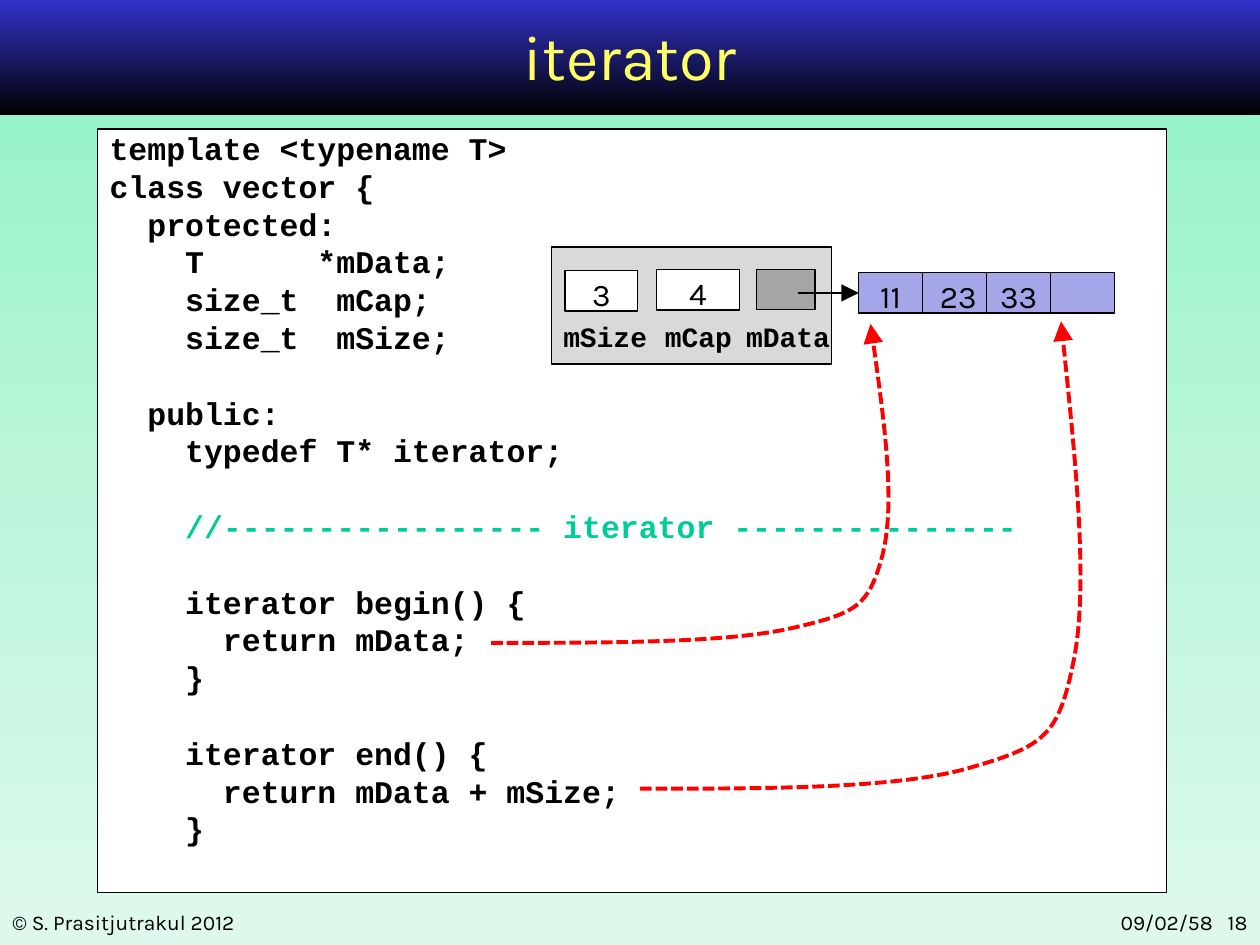
from copy import deepcopy
from dataclasses import dataclass

from pptx import Presentation
from pptx.dml.color import RGBColor
from pptx.enum.dml import MSO_LINE
from pptx.enum.shapes import MSO_CONNECTOR, MSO_SHAPE
from pptx.enum.text import MSO_ANCHOR, PP_ALIGN
from pptx.oxml.ns import qn
from pptx.util import Cm, Pt
from lxml.etree import SubElement

COLORS = {
    "black": "000000", "white": "FFFFFF", "title": "FFFF66", "banner": "3333CC",
    "panel": "D9D9D9", "pointer": "A6A6A6", "cell": "A5A5E9",
    "comment": "00CC99", "arrow": "FF0000",
    "mint": "8CF2C6", "mint_mid": "BAF5DA", "mint_pale": "DEF9EC",
}
MONO, SANS = "Courier New", "Karla"
LINE_PITCH = Pt(21.6)
INDENT = Pt(21.6)
CELL_LEFT, CELL_TOP, CELL_W, CELL_H = 17.31, 5.5, 1.29, 0.81


@dataclass
class Box:
    x: float
    y: float
    w: float
    h: float
    text: str = ""
    fill: str = "white"


@dataclass
class CodeLine:
    level: int
    text: str
    gap: bool = False
    color: str = "black"


@dataclass
class Curve:
    start: tuple
    controls: list


CODE = [
    CodeLine(0, "template <typename T>"),
    CodeLine(0, "class vector {"),
    CodeLine(1, "protected:"),
    CodeLine(2, "T      *mData;"),
    CodeLine(2, "size_t  mCap;"),
    CodeLine(2, "size_t  mSize;"),
    CodeLine(1, "public:", gap=True),
    CodeLine(2, "typedef T* iterator;"),
    CodeLine(2, "//----------------- iterator ---------------", True, "comment"),
    CodeLine(2, "iterator begin() {", gap=True),
    CodeLine(3, "return mData;"),
    CodeLine(2, "}"),
    CodeLine(2, "iterator end() {", gap=True),
    CodeLine(3, "return mData + mSize;"),
    CodeLine(2, "}"),
]
FIELDS = [
    Box(11.12, 4.98, 5.64, 2.36, fill="panel"),
    Box(15.25, 5.43, 1.18, 0.81, fill="pointer"),
    Box(11.39, 5.46, 1.47, 0.81, "3"),
    Box(13.23, 5.44, 1.68, 0.81, "4"),
]
LABELS = [
    Box(11.11, 6.31, 2.18, 0.84, "mSize"),
    Box(13.19, 6.31, 1.78, 0.84, "mCap"),
    Box(14.78, 6.31, 2.21, 0.84, "mData"),
]
CURVES = [
    Curve((9.9, 12.96), [
        (12.27, 12.96), (14.63, 12.96), (15.93, 12.67),
        (17.25, 12.37), (17.5, 12.24), (17.78, 11.23),
        (18.06, 10.19), (17.81, 8.36), (17.55, 6.53),
    ]),
    Curve((12.9, 15.9), [
        (15.52, 15.9), (18.14, 15.9), (19.58, 15.47),
        (21.06, 15.04), (21.34, 14.83), (21.64, 13.34),
        (21.95, 11.84), (21.67, 9.14), (21.39, 6.48),
    ]),
]


def rgb(name: str) -> RGBColor:
    return RGBColor.from_string(COLORS[name])


def set_gradient(fill, element, names: list) -> None:
    fill.gradient()
    fill.gradient_angle = 270
    stops = next(element.iter(qn("a:gsLst")))
    for _ in names[2:]:
        stops.append(deepcopy(stops[0]))
    for i, (stop, name) in enumerate(zip(fill.gradient_stops, names)):
        stop.color.rgb = rgb(name)
        stop.position = i / (len(names) - 1)


def style_font(p, font: str, size: float, color: str = "black", bold: bool = False) -> None:
    for r in p.runs:
        r.font.name, r.font.size, r.font.bold = font, Pt(size), bold
        r.font.color.rgb = rgb(color)


def add_rect(s, box: Box):
    sp = s.shapes.add_shape(MSO_SHAPE.RECTANGLE, Cm(box.x), Cm(box.y), Cm(box.w), Cm(box.h))
    sp.shadow.inherit = False
    sp.fill.solid()
    sp.fill.fore_color.rgb = rgb(box.fill)
    sp.line.color.rgb = rgb("black")
    sp.line.width = Pt(0.75)
    return sp


def add_textbox(s, box: Box):
    sp = s.shapes.add_textbox(Cm(box.x), Cm(box.y), Cm(box.w), Cm(box.h))
    sp.text_frame.word_wrap = True
    return sp


def add_caption(s, box: Box, size: float, align, color: str = "black") -> None:
    tf = add_textbox(s, box).text_frame
    tf.text = box.text
    tf.vertical_anchor = MSO_ANCHOR.MIDDLE
    tf.paragraphs[0].alignment = align
    style_font(tf.paragraphs[0], SANS, size, color)


def set_diagram_text(sp, text: str, font: str, size: float, bold: bool = False) -> None:
    tf = sp.text_frame
    tf.margin_left = tf.margin_right = tf.margin_top = tf.margin_bottom = 0
    tf.vertical_anchor = MSO_ANCHOR.MIDDLE
    tf.text = text
    p = tf.paragraphs[0]
    p.alignment = PP_ALIGN.CENTER
    p.line_spacing = 1.15
    p.space_after = Pt(10)
    style_font(p, font, size, bold=bold)


def add_field(s, box: Box):
    sp = add_rect(s, box)
    if box.text:
        set_diagram_text(sp, box.text, SANS, 18)
    return sp


def add_code(s, box: Box, lines: list) -> None:
    tf = add_rect(s, box).text_frame
    tf.word_wrap = True
    tf.vertical_anchor = MSO_ANCHOR.TOP
    tf.margin_top = tf.margin_bottom = 0
    tf.text = "\n".join(line.text for line in lines)
    for p, line in zip(tf.paragraphs, lines):
        p.alignment = PP_ALIGN.LEFT
        p.line_spacing = LINE_PITCH
        p.space_before = LINE_PITCH if line.gap else Pt(0)
        p._p.get_or_add_pPr().set("marL", str(line.level * INDENT))
        style_font(p, MONO, 18, line.color, True)


def add_arrowhead(sp) -> None:
    SubElement(sp.line._get_or_add_ln(), qn("a:tailEnd"), type="triangle", w="lg", len="lg")


def bend_segments(sp) -> None:
    outline = next(sp.element.iter(qn("a:path")))
    segments = outline.findall(qn("a:lnTo"))
    for i in range(0, len(segments), 3):
        bezier = SubElement(outline, qn("a:cubicBezTo"))
        for segment in segments[i:i + 3]:
            bezier.append(segment[0])
            outline.remove(segment)


def add_curve(s, curve: Curve) -> None:
    builder = s.shapes.build_freeform(Cm(curve.start[0]), Cm(curve.start[1]))
    builder.add_line_segments([(Cm(x), Cm(y)) for x, y in curve.controls], close=False)
    sp = builder.convert_to_shape()
    bend_segments(sp)
    sp.shadow.inherit = False
    sp.fill.background()
    sp.line.color.rgb = rgb("arrow")
    sp.line.width = Pt(2.25)
    sp.line.dash_style = MSO_LINE.SQUARE_DOT
    add_arrowhead(sp)


def main() -> None:
    prs = Presentation()
    prs.slide_width, prs.slide_height = Cm(25.4), Cm(19.05)
    s = prs.slides.add_slide(prs.slide_layouts[6])
    set_gradient(s.background.fill, s.element, ["mint", "mint_mid", "mint_pale"])
    banner = add_rect(s, Box(0, 0, 25.4, 2.32))
    set_gradient(banner.fill, banner.element, ["banner", "black"])
    banner.line.fill.background()
    add_caption(s, Box(1.91, 0.07, 21.59, 2.11, "iterator"), 36, PP_ALIGN.CENTER, "title")
    add_caption(s, Box(0, 18.21, 8.26, 0.76, "© S. Prasitjutrakul 2012"), 12, PP_ALIGN.LEFT)
    add_caption(s, Box(19.89, 18.21, 5.51, 0.76, "09/02/58   18"), 12, PP_ALIGN.RIGHT)
    add_code(s, Box(1.96, 2.6, 21.56, 15.39), CODE)

    for box in FIELDS:
        add_field(s, box)
    for box in LABELS:
        set_diagram_text(add_textbox(s, box), box.text, MONO, 16, True)
    cells = [add_field(s, Box(CELL_LEFT + i * CELL_W, CELL_TOP, CELL_W, CELL_H, text, "cell"))
             for i, text in enumerate(["11", " 23", "33", ""])]

    y = Cm(CELL_TOP + CELL_H / 2)
    link = s.shapes.add_connector(MSO_CONNECTOR.STRAIGHT, Cm(16.08), y, Cm(CELL_LEFT), y)
    link.end_connect(cells[0], 1)
    link.line.color.rgb = rgb("black")
    link.line.width = Pt(0.75)
    add_arrowhead(link)
    SubElement(link._element.spPr, qn("a:effectLst"))
    for curve in CURVES:
        add_curve(s, curve)
    prs.save("out.pptx")


if __name__ == "__main__":
    main()
